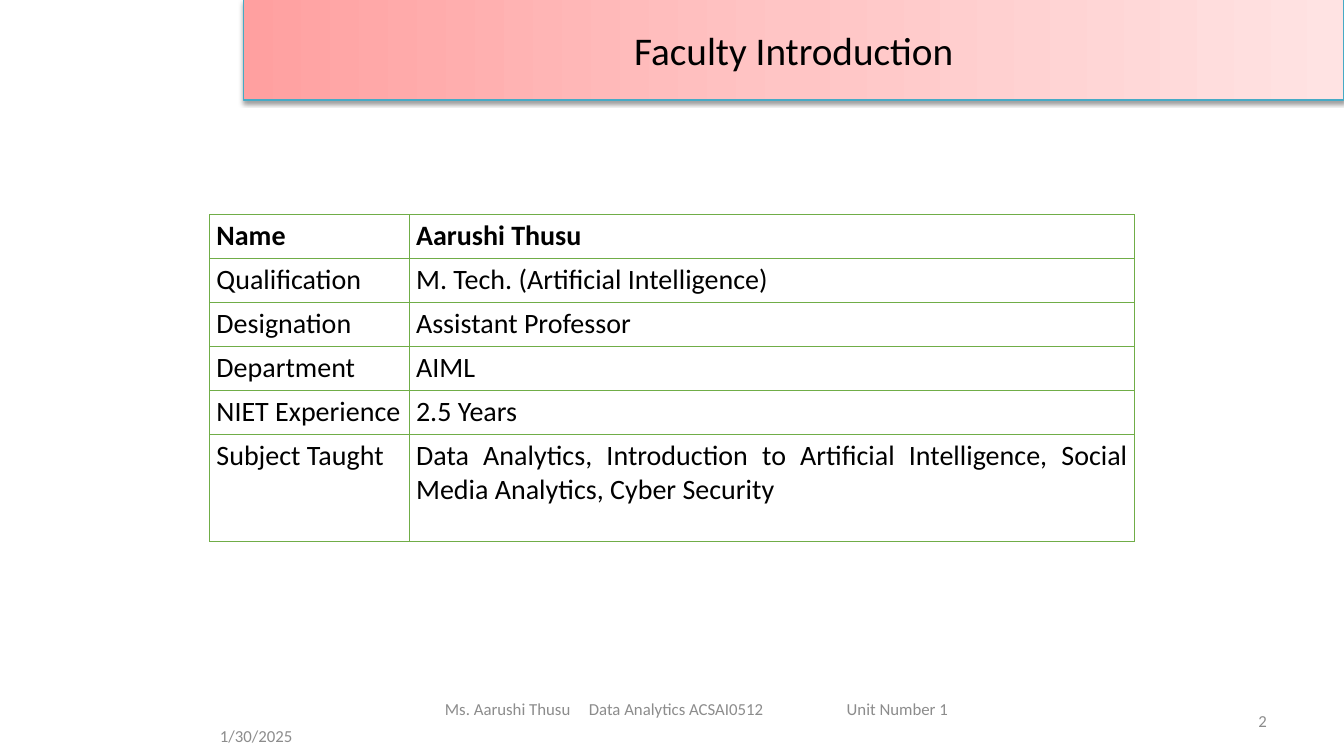
import pptx
import pptx.dml.color
import pptx.enum.shapes
import pptx.enum.text
import pptx.oxml
import pptx.oxml.ns
import pptx.util
import copy

Pt = pptx.util.Pt
ALIGN = pptx.enum.text.PP_ALIGN
MIDDLE = pptx.enum.text.MSO_ANCHOR.MIDDLE
RECTANGLE = pptx.enum.shapes.MSO_SHAPE.RECTANGLE
NAMESPACE = 'xmlns:a="http://schemas.openxmlformats.org/drawingml/2006/main"'


def colour(value):
    return pptx.dml.color.RGBColor.from_string(value)


def element(xml):
    return pptx.oxml.parse_xml(xml.replace(" ", f" {NAMESPACE} ", 1))


class FacultySlide:
    typeface = "Calibri"
    ink = "000000"
    muted = "8C8C8C"
    banner_line = "46AAC5"
    banner_stops = [(0, "FFA0A0"), (0.5, "FFC5C5"), (1, "FFE3E3")]
    grid = "70AD47"

    def __init__(self, slide):
        self.slide = slide

    def set_text(self, paragraph, text, size, ink, align=ALIGN.LEFT, bold=False):
        paragraph.text = text
        paragraph.alignment = align
        paragraph.font.name = self.typeface
        paragraph.font.size = Pt(size)
        paragraph.font.bold = bold
        paragraph.font.color.rgb = colour(ink)

    def banner(self, text, left, top, width, height):
        banner = self.slide.shapes.add_shape(
            RECTANGLE, Pt(left), Pt(top), Pt(width), Pt(height))
        banner.shadow.inherit = False
        banner.fill.gradient()
        banner.fill.gradient_angle = 0
        properties = banner._element.spPr
        first_stop = properties.find(".//" + pptx.oxml.ns.qn("a:gs"))
        first_stop.addnext(copy.deepcopy(first_stop))
        for stop, (position, value) in zip(banner.fill.gradient_stops, self.banner_stops):
            stop.position = position
            stop.color.rgb = colour(value)
        banner.line.color.rgb = colour(self.banner_line)
        banner.line.width = Pt(0.75)
        properties.find(pptx.oxml.ns.qn("a:effectLst")).append(element(
            f'<a:outerShdw blurRad="{Pt(3.1)}" dist="{Pt(1.6)}" dir="5400000" rotWithShape="0">'
            '<a:srgbClr val="000000"><a:alpha val="38000"/></a:srgbClr></a:outerShdw>'))
        banner.text_frame.vertical_anchor = MIDDLE
        self.set_text(banner.text_frame.paragraphs[0], text, 28, self.ink, ALIGN.CENTER)

    def footer(self, text, left, top, width, align=ALIGN.LEFT, tabs=()):
        box = self.slide.shapes.add_textbox(Pt(left), Pt(top), Pt(width), Pt(28.8))
        frame = box.text_frame
        frame.word_wrap = True
        frame.vertical_anchor = MIDDLE
        paragraph = frame.paragraphs[0]
        if tabs:
            stops = "".join(f'<a:tab pos="{Pt(tab)}" algn="l"/>' for tab in tabs)
            paragraph._p.get_or_add_pPr().append(element(f"<a:tabLst >{stops}</a:tabLst>"))
        self.set_text(paragraph, text, 12, self.muted, align)

    def border(self, cell, side, width):
        cell._tc.get_or_add_tcPr().append(element(
            f'<a:{side} w="{Pt(width)}"><a:solidFill><a:srgbClr val="{self.grid}"/>'
            f'</a:solidFill></a:{side}>'))

    def table(self, rows, left, top, widths, heights):
        table = self.slide.shapes.add_table(
            len(rows), len(widths), Pt(left), Pt(top), Pt(sum(widths)), Pt(sum(heights))).table
        table.first_row = table.horz_banding = False
        for column, width in zip(table.columns, widths):
            column.width = Pt(width)
        for index, (row, height) in enumerate(zip(rows, heights)):
            table.rows[index].height = Pt(height)
            for cell, text in zip(table.rows[index].cells, row):
                cell.margin_left = cell.margin_right = Pt(5)
                cell.margin_top = cell.margin_bottom = Pt(2.9)
                self.border(cell, "lnL", 0.75)
                self.border(cell, "lnR", 0.75)
                self.border(cell, "lnT", 1.13 if index == 1 else 0.75)
                self.border(cell, "lnB", 1.13 if index == 0 else 0.75)
                cell.fill.background()
                subjects = index == len(rows) - 1 and text == row[-1]
                self.set_text(cell.text_frame.paragraphs[0], text, 20, self.ink,
                              ALIGN.JUSTIFY if subjects else ALIGN.LEFT, bold=index == 0)


def main():
    deck = pptx.Presentation()
    deck.slide_width, deck.slide_height = Pt(960), Pt(540)
    faculty = FacultySlide(deck.slides.add_slide(deck.slide_layouts[6]))
    faculty.banner("Faculty Introduction", 174, 0, 786, 71.5)
    faculty.footer("1/30/2025", 150, 511.5, 168)
    faculty.footer("2", 688, 500.5, 224, ALIGN.RIGHT)
    faculty.footer("Ms. Aarushi Thusu\tData Analytics ACSAI0512\tUnit Number 1",
                   310.7, 492, 385.3, tabs=(102.8, 287))
    profile = [
        ("Name", "Aarushi Thusu"),
        ("Qualification", "M. Tech. (Artificial Intelligence)"),
        ("Designation", "Assistant Professor"),
        ("Department", "AIML"),
        ("NIET Experience", "2.5 Years"),
        ("Subject Taught", "Data Analytics, Introduction to Artificial Intelligence, "
                           "Social Media Analytics, Cyber Security"),
    ]
    faculty.table(profile, 149.6, 153.2, (142.6, 518.4), [31.5] * 5 + [75.8])
    deck.save("out.pptx")


if __name__ == "__main__":
    main()
